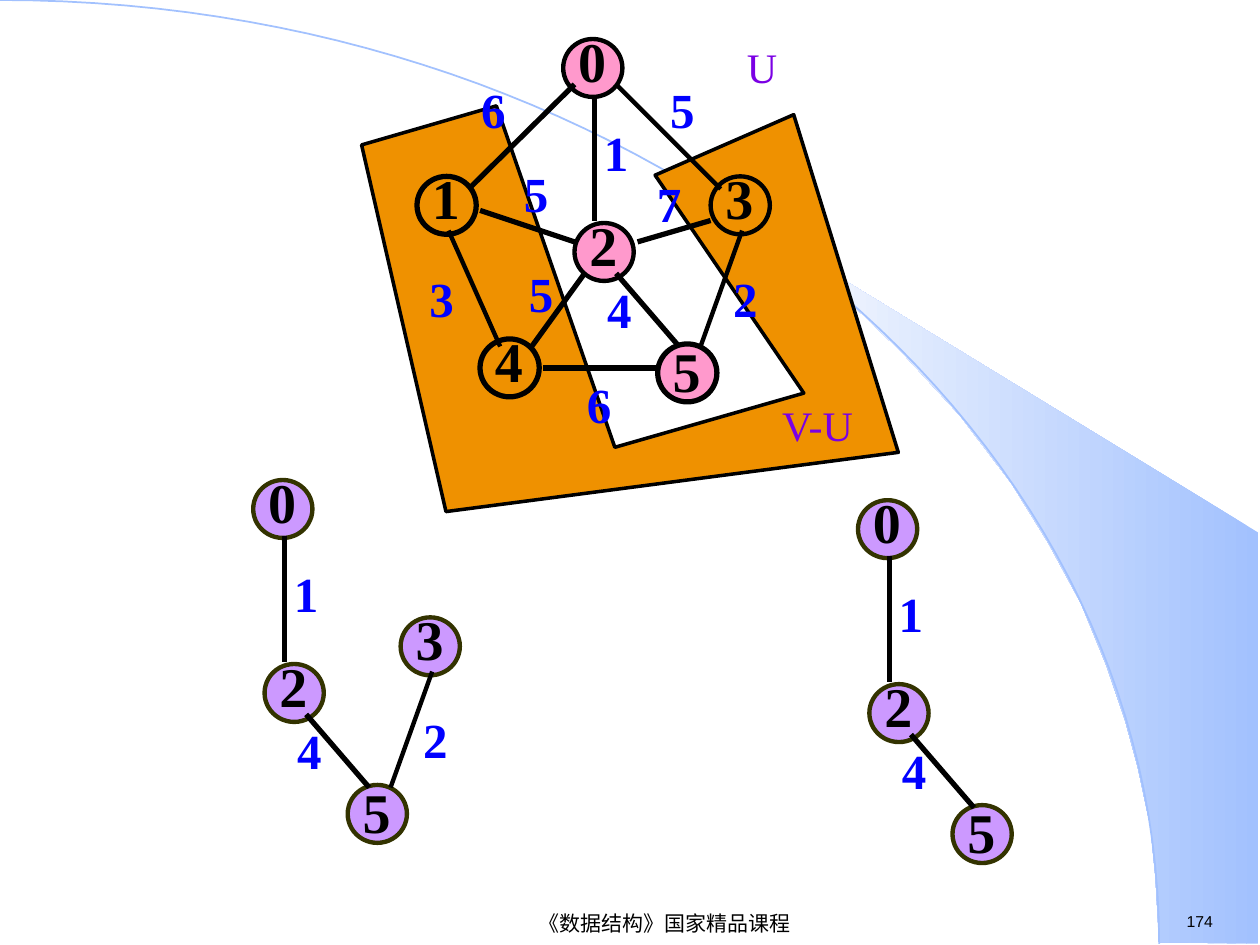
"""Build the slide on the minimum spanning tree with its graph and two partial trees."""
from lxml.etree import SubElement
from pptx import Presentation
from pptx.dml.color import RGBColor
from pptx.enum.shapes import MSO_CONNECTOR, MSO_SHAPE
from pptx.enum.text import MSO_ANCHOR, MSO_AUTO_SIZE, PP_ALIGN
from pptx.oxml.ns import qn
from pptx.util import Inches, Pt

BLACK = RGBColor(0x00, 0x00, 0x00)
WEIGHT_BLUE = RGBColor(0x00, 0x00, 0xFF)
SET_PURPLE = RGBColor(0x7B, 0x00, 0xE4)
REGION_ORANGE = RGBColor(0xEF, 0x91, 0x00)
CHOSEN_PINK = RGBColor(0xFF, 0x99, 0xCC)
TREE_LILAC = RGBColor(0xCC, 0x99, 0xFF)
TREE_OLIVE = RGBColor(0x33, 0x33, 0x00)
SKY = RGBColor(0xA2, 0xC1, 0xFE)
NEAR_WHITE = RGBColor(0xFE, 0xFE, 0xFE)

SERIF = {"name": "Times New Roman"}
NODE_FONT = SERIF | {"size": Pt(32), "bold": True}
WEIGHT_FONT = SERIF | {"size": Pt(28), "bold": True}
SET_FONT = SERIF | {"size": Pt(24)}
GROWING = {"word_wrap": True, "auto_size": MSO_AUTO_SIZE.SHAPE_TO_FIT_TEXT}
CENTRED = {"word_wrap": True, "vertical_anchor": MSO_ANCHOR.MIDDLE}

presentation = Presentation()
presentation.slide_width = Inches(10)
presentation.slide_height = Inches(7.5)
slide = presentation.slides.add_slide(presentation.slide_layouts[6])
shapes = slide.shapes


def add_text(text, box, font_format, color, align=PP_ALIGN.LEFT, frame_format=GROWING):
    frame = shapes.add_textbox(*map(Inches, box)).text_frame
    for name, value in frame_format.items():
        setattr(frame, name, value)
    paragraph = frame.paragraphs[0]
    paragraph.alignment = align
    run = paragraph.add_run()
    run.text = text
    for name, value in font_format.items():
        setattr(run.font, name, value)
    run.font.color.rgb = color


def add_outline(points, close):
    corners = [(Inches(x), Inches(y)) for x, y in points]
    builder = shapes.build_freeform(*corners[0], scale=1.0)
    builder.add_line_segments(corners[1:], close=close)
    outline = builder.convert_to_shape()
    outline.shadow.inherit = False
    return outline


beam = add_outline([
    (9.2, 7.48), (9.99, 7.49), (9.99, 4.23), (5.89, 1.73), (6.24, 1.99), (6.53, 2.22),
    (6.85, 2.5), (7.16, 2.8), (7.62, 3.3), (8.03, 3.84), (8.32, 4.31), (8.58, 4.79),
    (8.78, 5.28), (8.93, 5.72), (9.03, 6.09), (9.13, 6.56), (9.17, 6.96),
], True)
beam.line.fill.background()
beam.fill.gradient()
beam.fill.gradient_angle = 180
for stop, color, position in zip(beam.fill.gradient_stops, (SKY, NEAR_WHITE), (0, 1)):
    stop.color.rgb = color
    stop.position = position

steps = [i / 60 for i in range(61)]
arc = add_outline([
    (3 * (1 - t) ** 2 * t * 5.08 + (3 * (1 - t) * t ** 2 + t ** 3) * 9.2,
     3 * (1 - t) * t ** 2 * 3.35 + t ** 3 * 7.49)
    for t in steps
], False)
arc.fill.background()
arc.line.color.rgb = SKY
arc.line.width = Pt(1)

add_text("174", (9.32, 7.19, 0.77, 0.25), {"name": "Arial", "size": Pt(9)}, BLACK)
add_text("《数据结构》国家精品课程", (2.4, 7.21, 5.75, 0.24),
         {"name": "Arial", "size": Pt(12)}, BLACK, PP_ALIGN.CENTER, CENTRED)

region = add_outline([
    (3.94, 0.84), (4.88, 3.55), (6.38, 3.12), (5.2, 1.39), (6.3, 0.91),
    (7.13, 3.59), (3.54, 4.06), (2.87, 1.15),
], True)
region.fill.solid()
region.fill.fore_color.rgb = REGION_ORANGE
region.line.color.rgb = BLACK
region.line.width = Pt(2)

# left, top, label drop, outline width
nodes = {
    "0": (4.47, 0.31, -0.15, 2.5),
    "1": (3.31, 1.4, -0.15, 3),
    "2": (4.56, 1.77, -0.15, 2.5),
    "3": (5.64, 1.4, -0.15, 2.5),
    "4": (3.81, 2.69, -0.15, 3),
    "5": (5.22, 2.73, -0.11, 3),
}
edges = {
    "01": ((4.56, 0.67), (3.72, 1.5), 3, "6", (3.72, 0.58, 0.5), PP_ALIGN.LEFT),
    "02": ((4.72, 0.75), (4.72, 1.75), 3, "1", (4.64, 0.92, 0.5), PP_ALIGN.CENTER),
    "03": ((4.89, 0.67), (5.72, 1.5), 2.5, "5", (5.22, 0.58, 0.75), PP_ALIGN.LEFT),
    "12": ((3.81, 1.67), (4.56, 1.92), 3, "5", (4.06, 1.25, 0.42), PP_ALIGN.LEFT),
    "14": ((3.56, 1.83), (3.97, 2.75), 2.5, "3", (3.31, 2.08, 0.75), PP_ALIGN.LEFT),
    "23": ((5.06, 1.92), (5.64, 1.75), 3, "7", (5.06, 1.33, 0.5), PP_ALIGN.CENTER),
    "24": ((4.64, 2.17), (4.22, 2.75), 3, "5", (4.1, 2.04, 0.5), PP_ALIGN.LEFT),
    "25": ((4.89, 2.17), (5.39, 2.75), 3, "4", (4.72, 2.17, 0.5), PP_ALIGN.LEFT),
    "35": ((5.89, 1.83), (5.56, 2.75), 2.5, "2", (5.72, 2.08, 0.5), PP_ALIGN.LEFT),
    "45": ((4.31, 2.92), (5.22, 2.92), 3, "6", (4.56, 2.92, 0.5), PP_ALIGN.LEFT),
}
graphs = [
    (-2.46, 3.5, "0235", ("02", "25", "35"), True),
    (2.34, 3.66, "025", ("02", "25"), True),
    (0, 0, "012345", tuple(edges), False),
]

for dx, dy, members, links, is_tree in graphs:
    for member in members:
        left, top, drop, width = nodes[member]
        left, top = left + dx, top + dy
        vertex = shapes.add_shape(MSO_SHAPE.OVAL, Inches(left), Inches(top),
                                  Inches(0.47), Inches(0.46))
        vertex.shadow.inherit = False
        if is_tree or member in "025":
            vertex.fill.solid()
            vertex.fill.fore_color.rgb = TREE_LILAC if is_tree else CHOSEN_PINK
        else:
            vertex.fill.background()
        vertex.line.color.rgb = TREE_OLIVE if is_tree else BLACK
        vertex.line.width = Pt(2.5 if is_tree else width)
        add_text(member, (left + 0.02, top + drop, 0.34, 0.64), NODE_FONT, BLACK,
                 PP_ALIGN.CENTER)
    for link in links:
        start, end, width, weight, (left, top, span), align = edges[link]
        edge = shapes.add_connector(
            MSO_CONNECTOR.STRAIGHT, Inches(start[0] + dx), Inches(start[1] + dy),
            Inches(end[0] + dx), Inches(end[1] + dy))
        edge.line.color.rgb = BLACK
        edge.line.width = Pt(width)
        SubElement(edge._element.spPr, qn("a:effectLst"))
        add_text(weight, (left + dx, top + dy, span, 0.57), WEIGHT_FONT, WEIGHT_BLUE, align)

add_text("U", (5.83, 0.28, 0.67, 0.5), SET_FONT, SET_PURPLE)
add_text("V-U", (6.11, 3.12, 1, 0.5), SET_FONT, SET_PURPLE)

presentation.save("out.pptx")
